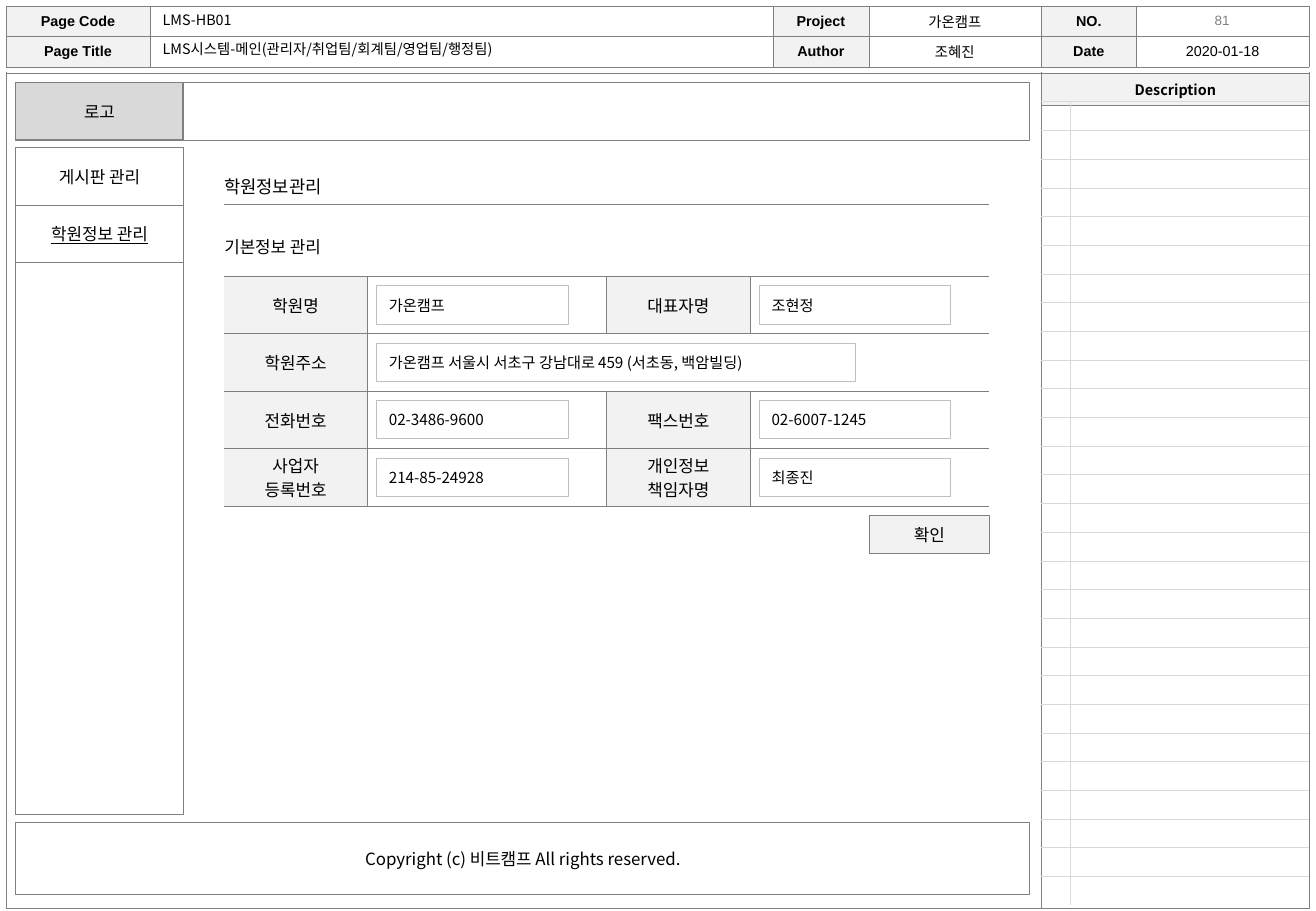
from dataclasses import dataclass
from lxml.etree import SubElement
from pptx import Presentation
from pptx.dml.color import RGBColor
from pptx.enum.shapes import MSO_CONNECTOR, MSO_SHAPE
from pptx.enum.text import MSO_ANCHOR, PP_ALIGN
from pptx.oxml.ns import qn
from pptx.util import Cm, Pt


@dataclass(frozen=True)
class Theme:
    sans: str = "Noto Sans CJK KR"
    arial: str = "Arial"
    ink: str = "000000"
    mute: str = "7F7F7F"
    edge: str = "808080"
    soft: str = "BFBFBF"
    rule: str = "D9D9D9"
    pale: str = "F2F2F2"
    white: str = "FFFFFF"
    body: float = 10
    title: float = 10.5
    field: float = 9
    head: float = 8.5
    page: float = 8
    thin: float = 0.25
    line: float = 0.5
    bold: float = 0.75


T = Theme()
PLAIN = "{2D5ABB26-0587-4C30-8999-92F81FD0307C}"

HEAD = [
    ["Page Code", "", "Project", "가온캠프", "NO.", ""],
    ["Page Title", "", "Author", "조혜진", "Date", "2020-01-18"],
]
NOTES = [["", "Description"], ["", ""]]
FORM = [
    [("학원명", "가온캠프"), ("대표자명", "조현정")],
    [("학원주소", "가온캠프 서울시 서초구 강남대로 459 (서초동, 백암빌딩)")],
    [("전화번호", "02-3486-9600"), ("팩스번호", "02-6007-1245")],
    [("사업자\n등록번호", "214-85-24928"), ("개인정보\n책임자명", "최종진")],
]
MENU = [("게시판 관리", False), ("학원정보 관리", True)]
LABELS = [
    (3.15, 0.1, 13, "LMS-HB01", T.head),
    (3.15, 0.72, 13, "LMS시스템-메인(관리자/취업팀/회계팀/영업팀/행정팀)", T.head),
    (4.44, 3.56, 2.77, "학원정보관리", T.title),
    (4.44, 4.83, 2.77, "기본정보 관리", T.body),
]

HEAD_COLS = [3, 13.03, 2, 3.6, 2, 3.6]
FORM_COLS = [3, 5, 3, 5]
EDGE_X = 0.13
NOTE_X, NOTE_Y = 21.77, 1.52
GRID_Y, GRID_ROWS, STEP = 2.13, 28, 0.6
LEFT, WIDE, SIDE = 0.33, 21.2, 3.5
BAR_Y, MENU_Y, FOOT_Y = 1.73, 3.09, 17.2
ROW, GAP, FIELD_H = 1.2, 0.2, 0.8
FORM_X, FORM_Y = 4.68, 5.78

deck = Presentation()
deck.slide_width, deck.slide_height = Cm(27.51), Cm(19.05)
slide = deck.slides.add_slide(deck.slide_layouts[6])
shapes = slide.shapes


def rgb(code):
    return RGBColor.from_string(code)


def write(frame, text, size, align=PP_ALIGN.CENTER, face=T.sans, color=T.ink,
          bold=False, under=False):
    for i, line in enumerate(text.split("\n")):
        para = frame.add_paragraph() if i else frame.paragraphs[0]
        para.alignment = align
        run = para.add_run()
        run.text = line
        font = run.font
        font.size, font.bold, font.underline = Pt(size), bold, under
        font.name = face
        font.color.rgb = rgb(color)
        SubElement(run._r.get_or_add_rPr(), qn("a:ea")).set("typeface", T.sans)


def box(x, y, w, h, text="", fill=T.white, line=T.edge, width=T.line,
        size=T.body, **style):
    shape = shapes.add_shape(MSO_SHAPE.RECTANGLE, Cm(x), Cm(y), Cm(w), Cm(h))
    shape.shadow.inherit = False
    shape.fill.solid()
    shape.fill.fore_color.rgb = rgb(fill)
    shape.line.color.rgb = rgb(line)
    shape.line.width = Pt(width)
    shape.text_frame.vertical_anchor = MSO_ANCHOR.MIDDLE
    if text:
        write(shape.text_frame, text, size, **style)


def label(x, y, w, text, size, align=PP_ALIGN.LEFT, **style):
    frame = shapes.add_textbox(Cm(x), Cm(y), Cm(w), Cm(0.6)).text_frame
    frame.word_wrap = True
    write(frame, text, size, align, **style)


def grid(x, y, cols, rows):
    table = shapes.add_table(len(rows), len(cols), Cm(x), Cm(y),
                             Cm(sum(cols)), Cm(sum(rows))).table
    table.first_row = table.horz_banding = False
    table._tbl.tblPr.find(qn("a:tableStyleId")).text = PLAIN
    for col, w in zip(table.columns, cols):
        col.width = Cm(w)
    for row, h in zip(table.rows, rows):
        row.height = Cm(h)
    return table


def dress(cell, sides, color, width, text="", fill=None, pad=0, **style):
    cell.margin_top = cell.margin_bottom = Cm(pad)
    cell.margin_left = cell.margin_right = Cm(pad)
    cell.vertical_anchor = MSO_ANCHOR.MIDDLE
    props = cell._tc.get_or_add_tcPr()
    for side in "LRTB":
        if side in sides:
            edge = SubElement(props, qn("a:ln" + side), w=str(Pt(width)))
            paint = SubElement(edge, qn("a:solidFill"))
            SubElement(paint, qn("a:srgbClr"), val=color)
    if fill:
        cell.fill.solid()
        cell.fill.fore_color.rgb = rgb(fill)
    else:
        cell.fill.background()
    if text:
        write(cell.text_frame, text, **style)
    else:
        cell.text_frame.paragraphs[0]._p.get_or_add_endParaRPr().set("sz", "100")


notes = grid(EDGE_X, NOTE_Y, [NOTE_X - EDGE_X, 5.6], [0.69, 16.79])
for r, row in enumerate(NOTES):
    for c, text in enumerate(row):
        sides = "LRTB" if c else "LR" + "TB"[r]
        dress(notes.cell(r, c), sides, T.edge, T.thin, text,
              T.pale if text else None, size=T.head, bold=True)

head = grid(EDGE_X, EDGE_X, HEAD_COLS, [STEP + 0.01] * 2)
for r, row in enumerate(HEAD):
    for c, text in enumerate(row):
        key = c % 2 == 0
        dress(head.cell(r, c), "LRTB", T.edge, T.thin, text,
              T.pale if key else None, 0.1, size=T.head, face=T.arial, bold=key)

label(23.75, EDGE_X, 3.6, "81", T.page, PP_ALIGN.CENTER,
      face=T.arial, color=T.mute)
for item in LABELS:
    label(*item)

box(LEFT, BAR_Y, WIDE, ROW)
box(LEFT, BAR_Y, SIDE, ROW, "로고", fill=T.rule, width=T.bold)

under = shapes.add_connector(MSO_CONNECTOR.STRAIGHT, Cm(FORM_X), Cm(4.28),
                             Cm(FORM_X + sum(FORM_COLS)), Cm(4.28))
under.line.color.rgb = rgb(T.edge)
under.line.width = Pt(T.line)
SubElement(under._element.spPr, qn("a:effectLst"))

form = grid(FORM_X, FORM_Y, FORM_COLS, [ROW] * len(FORM))
for r, row in enumerate(FORM):
    full = len(row) == 1
    if full:
        form.cell(r, 1).merge(form.cell(r, 3))
    for c in range(4):
        key = c % 2 == 0 and c // 2 < len(row)
        sides = "TB" + ("L" if c and not (full and c > 1) else "")
        sides += "R" if c < 3 and not (full and c) else ""
        dress(form.cell(r, c), sides, T.edge, T.line,
              row[c // 2][0] if key else "", T.pale if key else None,
              size=T.body)
    for i, (name, value) in enumerate(row):
        x = FORM_X + sum(FORM_COLS[:2 * i + 1]) + GAP
        box(x, FORM_Y + r * ROW + GAP, 10 if full else 4, FIELD_H, value,
            line=T.soft, size=T.field, align=PP_ALIGN.LEFT)

box(FORM_X + sum(FORM_COLS) - 2.5, FORM_Y + len(FORM) * ROW + GAP, 2.5, FIELD_H,
    "확인", fill=T.pale)

box(LEFT, MENU_Y, SIDE, 13.94)
for i, (text, here) in enumerate(MENU):
    box(LEFT, MENU_Y + i * ROW, SIDE, ROW, text, under=here)
box(LEFT, FOOT_Y, WIDE, 1.5, "Copyright (c) 비트캠프 All rights reserved.")

lines = grid(NOTE_X, GRID_Y, [STEP, 5], [STEP] * GRID_ROWS)
for r in range(GRID_ROWS):
    for c in range(2):
        sides = "T" + "RL"[c] + ("B" if r < GRID_ROWS - 1 else "")
        dress(lines.cell(r, c), sides, T.rule, T.line)

deck.save("out.pptx")
